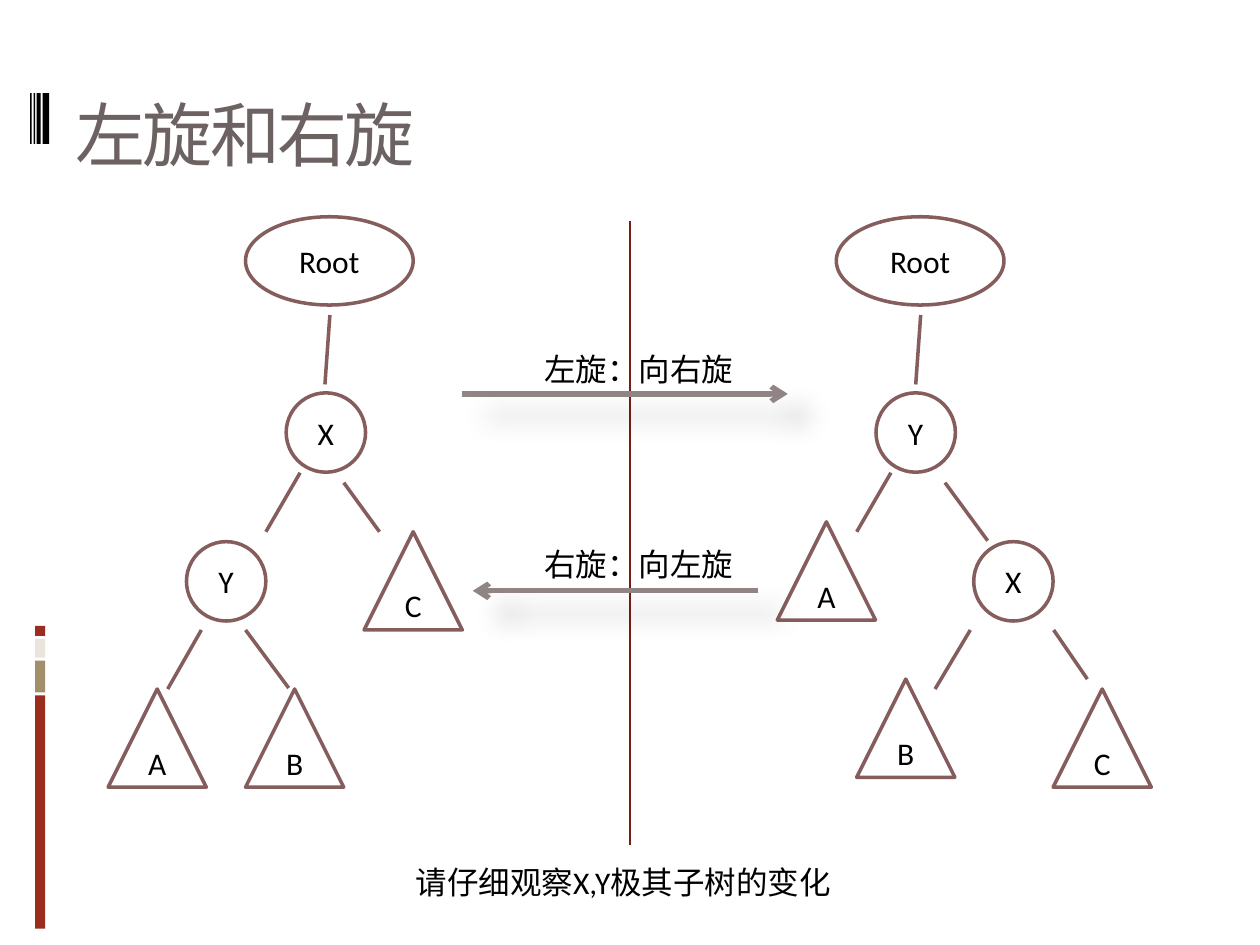
from dataclasses import dataclass

from lxml import etree
from pptx import Presentation
from pptx import util as u
from pptx.dml.color import RGBColor
from pptx.enum import shapes, text
from pptx.oxml.ns import qn


@dataclass(frozen=True)
class Theme:
    font: str = "Calibri"
    title_size: int = 40
    body_size: int = 18
    title: str = "6C6262"
    ink: str = "000000"
    paper: str = "FFFFFF"
    tree: str = "855D5D"
    arrow: str = "918485"
    divider: str = "751D12"
    red: str = "9B2D1F"
    tan: str = "A28E6A"
    cream: str = "E9E5DC"


THEME = Theme()
KINDS = {
    "rect": shapes.MSO_SHAPE.RECTANGLE,
    "root": shapes.MSO_SHAPE.OVAL,
    "node": shapes.MSO_SHAPE.OVAL,
    "leaf": shapes.MSO_SHAPE.ISOSCELES_TRIANGLE,
}
SIZES = {"root": (3.38, 1.78), "node": (1.6, 1.6), "leaf": (1.98, 1.98)}

TREE_SHIFT = 11.91
ROOT = ("root", "Root", 4.95, 4.37)
SHARED_EDGES = [(6.65, 6.35, 6.55, 7.75), (6.05, 9.53, 5.36, 10.72)]
LEFT_NODES = [
    ROOT,
    ("node", "X", 5.77, 7.92),
    ("node", "Y", 3.76, 10.92),
    ("leaf", "A", 2.18, 13.89),
    ("leaf", "C", 7.34, 10.72),
    ("leaf", "B", 4.95, 13.89),
]
LEFT_EDGES = SHARED_EDGES + [
    (4.06, 12.7, 3.38, 13.89),
    (4.95, 12.7, 5.82, 13.87),
    (6.93, 9.73, 7.65, 10.72),
]
RIGHT_NODES = [
    ROOT,
    ("node", "X", 7.72, 10.92),
    ("node", "Y", 5.75, 7.92),
    ("leaf", "A", 3.76, 10.52),
    ("leaf", "C", 9.32, 13.89),
    ("leaf", "B", 5.36, 13.69),
]
RIGHT_EDGES = SHARED_EDGES + [
    (7.65, 12.7, 6.94, 13.89),
    (7.14, 9.73, 8.0, 10.9),
    (9.33, 12.7, 10.01, 13.69),
]
ORNAMENTS = [
    (0.71, 14.02, 0.2, 4.7, THEME.red),
    (0.71, 13.32, 0.2, 0.64, THEME.tan),
    (0.71, 12.88, 0.2, 0.38, THEME.cream),
    (0.71, 12.62, 0.2, 0.2, THEME.red),
    (0.86, 1.88, 0.13, 1.02, THEME.ink),
    (0.74, 1.88, 0.08, 1.02, THEME.ink),
    (0.68, 1.88, 0.03, 1.02, THEME.ink),
    (0.61, 1.88, 0.03, 1.02, THEME.ink),
]


def apply(target, values):
    for name, value in values.items():
        setattr(target, name, value)


def place(shape, left, top, width, height):
    apply(shape, {"left": u.Cm(left), "top": u.Cm(top),
                  "width": u.Cm(width), "height": u.Cm(height)})


def write(shape, words, size=THEME.body_size, color=THEME.ink,
          align=text.PP_ALIGN.LEFT, **frame_format):
    frame = shape.text_frame
    apply(frame, {"word_wrap": True, **frame_format})
    para = frame.paragraphs[0]
    para.alignment = align
    span = para.add_run()
    span.text = words
    apply(span.font, {"name": THEME.font, "size": u.Pt(size)})
    span.font.color.rgb = RGBColor.from_string(color)
    return span


def add_title(page, words):
    title = page.shapes.title
    place(title, 1.27, 1.42, 22.86, 2.54)
    span = write(title, words, THEME.title_size, THEME.title,
                 vertical_anchor=text.MSO_ANCHOR.MIDDLE,
                 auto_size=text.MSO_AUTO_SIZE.NONE)
    span.font._element.set("spc", "-150")


def add_shape(page, kind, left, top, width, height, fill, line=None):
    shape = page.shapes.add_shape(
        KINDS[kind], u.Cm(left), u.Cm(top), u.Cm(width), u.Cm(height))
    shape.shadow.inherit = False
    shape.fill.solid()
    shape.fill.fore_color.rgb = RGBColor.from_string(fill)
    if line:
        shape.line.color.rgb = RGBColor.from_string(line)
        shape.line.width = u.Pt(2)
    else:
        shape.line.fill.background()
    return shape


def add_line(page, ends, color, width):
    line = page.shapes.add_connector(
        shapes.MSO_CONNECTOR.STRAIGHT, *(u.Cm(end) for end in ends))
    line.line.color.rgb = RGBColor.from_string(color)
    line.line.width = u.Pt(width)
    effects = etree.SubElement(line._element.spPr, qn("a:effectLst"))
    return line, effects


def add_arrow(page, ends):
    arrow, effects = add_line(page, ends, THEME.arrow, 3)
    etree.SubElement(arrow.line._get_or_add_ln(), qn("a:tailEnd"), type="arrow")
    shadow = etree.SubElement(
        effects, qn("a:outerShdw"), blurRad=str(u.Pt(15)), dist=str(u.Pt(18)),
        dir="2700000", algn="tl", rotWithShape="0")
    color = etree.SubElement(shadow, qn("a:srgbClr"), val=THEME.ink)
    etree.SubElement(color, qn("a:alpha"), val="26000")


def add_label(page, words, left, top, width, wrap=False):
    box = page.shapes.add_textbox(u.Cm(left), u.Cm(top), u.Cm(width), u.Cm(1.02))
    write(box, words, word_wrap=wrap, auto_size=text.MSO_AUTO_SIZE.SHAPE_TO_FIT_TEXT)


def add_tree(page, nodes, edges, shift=0):
    for kind, name, left, top in nodes:
        node = add_shape(page, kind, left + shift, top, *SIZES[kind],
                         THEME.paper, THEME.tree)
        write(node, name, align=text.PP_ALIGN.CENTER,
              vertical_anchor=text.MSO_ANCHOR.MIDDLE)
    for x1, y1, x2, y2 in edges:
        add_line(page, (x1 + shift, y1, x2 + shift, y2), THEME.tree, 2)


def main():
    deck = Presentation()
    apply(deck, {"slide_width": u.Cm(25.4), "slide_height": u.Cm(19.05)})
    page = deck.slides.add_slide(deck.slide_layouts[5])
    for left, top, width, height, fill in ORNAMENTS:
        add_shape(page, "rect", left, top, width, height, fill)
    add_line(page, (12.7, 4.45, 12.7, 17.04), THEME.divider, 0.75)
    add_title(page, "左旋和右旋")
    add_tree(page, LEFT_NODES, LEFT_EDGES)
    add_tree(page, RIGHT_NODES, RIGHT_EDGES, TREE_SHIFT)
    add_arrow(page, (9.32, 7.94, 15.88, 7.94))
    add_arrow(page, (15.29, 11.91, 9.53, 11.91))
    add_label(page, "左旋:向右旋".replace(":", "："), 10.72, 6.93, 4.37)
    add_label(page, "右旋:向左旋".replace(":", "："), 10.72, 10.87, 4.37)
    add_label(page, "请仔细观察X,Y极其子树的变化", 8.13, 17.27, 9.09, wrap=True)
    deck.save("out.pptx")


main()
